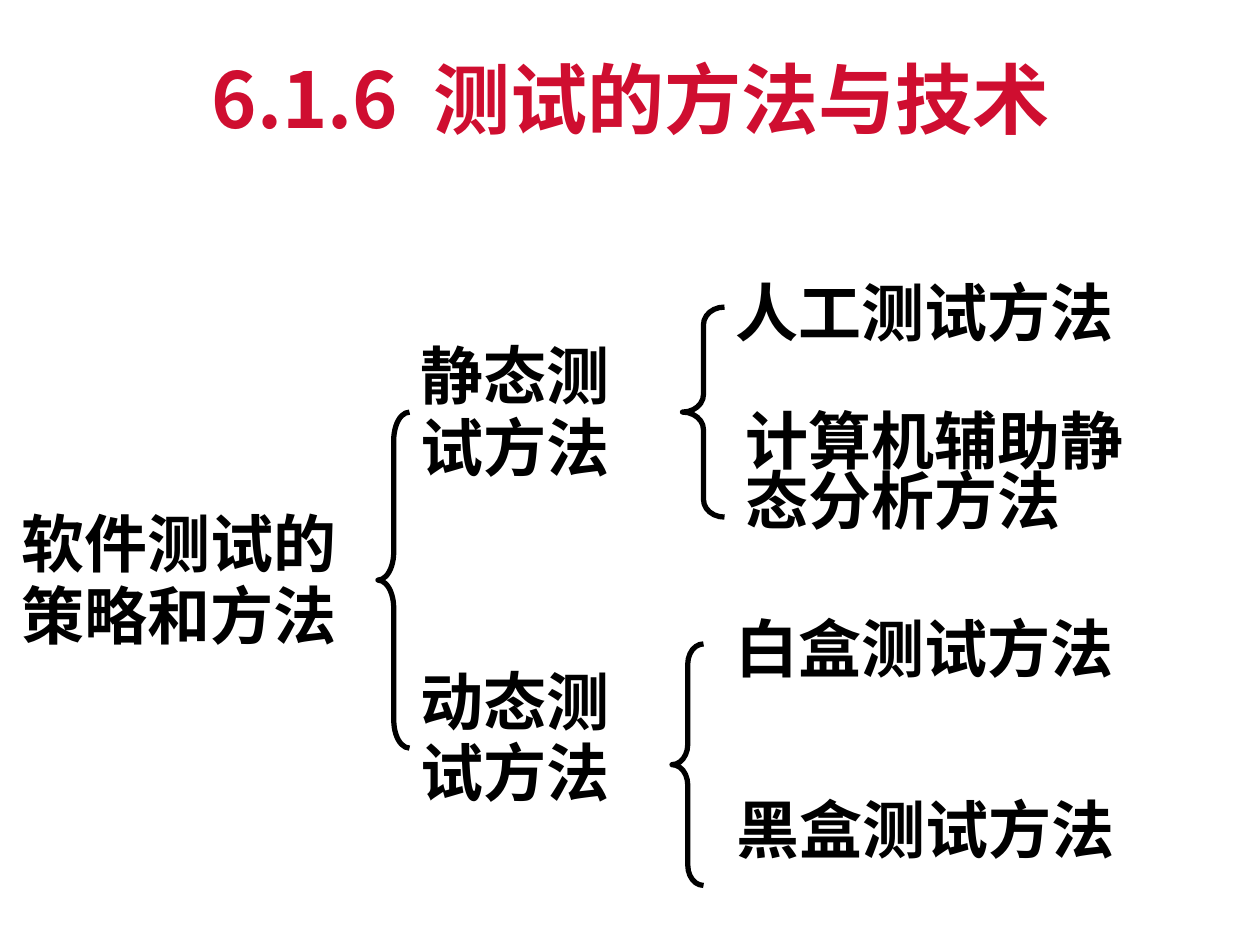
from lxml.etree import SubElement
from pptx import Presentation
from pptx.dml.color import RGBColor
from pptx.enum.shapes import MSO_SHAPE as Shape
from pptx.oxml.ns import qn
from pptx.util import Pt


def color(hex_code):
    return RGBColor.from_string(hex_code)


def add_text(text, left, top, width, height, size=36, font="Noto Sans CJK SC",
             ink="000000", spacing=0.95, wrap=False, gap=0):
    box = slide.shapes.add_textbox(Pt(left), Pt(top), Pt(width), Pt(height))
    frame = box.text_frame
    frame.word_wrap = wrap
    for index, line in enumerate(text.split("\n")):
        paragraph = frame.add_paragraph() if index else frame.paragraphs[0]
        paragraph.line_spacing = spacing
        for part in filter(None, line.partition(" ")):
            run = paragraph.add_run()
            run.text = part
            run.font.size = Pt(size)
            run.font.bold = True
            run.font.color.rgb = color(ink)
            run.font.name = font
            properties = run._r.get_or_add_rPr()
            SubElement(properties, qn("a:ea")).set("typeface", font)
            if part == " ":
                properties.set("spc", str(gap * 100))


deck = Presentation()
deck.slide_width, deck.slide_height = Pt(720), Pt(540)
slide = deck.slides.add_slide(deck.slide_layouts[6])

add_text("6.1.6 测试的方法与技术", 114, 30, 540, 57, size=44,
         font="Noto Sans CJK JP", ink="CF0E30", wrap=True, gap=10)

add_text("软件测试的\n策略和方法", 5.3, 288, 194.4, 89.3)
for method, top in (("静态测", 192), ("动态测", 378)):
    add_text(f"{method}\n试方法", 233.3, top, 122.4, 89.3)
for technique, left, top in (("人工", 413.3, 156), ("白盒", 413.3, 348), ("黑盒", 414, 451.5)):
    add_text(f"{technique}测试方法", left, top, 230.4, 48.2)
add_text("计算机辅助静\n态分析方法", 419, 234, 230.4, 76.3, spacing=0.8)

for left, top, width, height in ((216, 235.5, 18, 192), (390, 175.5, 24, 120), (384, 368, 18, 138)):
    brace = slide.shapes.add_shape(Shape.LEFT_BRACE, Pt(left), Pt(top), Pt(width), Pt(height))
    brace.adjustments[0] = height / 12 / width
    brace.shadow.inherit = False
    brace.fill.background()
    brace.line.color.rgb = color("000000")
    brace.line.width = Pt(3)

deck.save("out.pptx")
